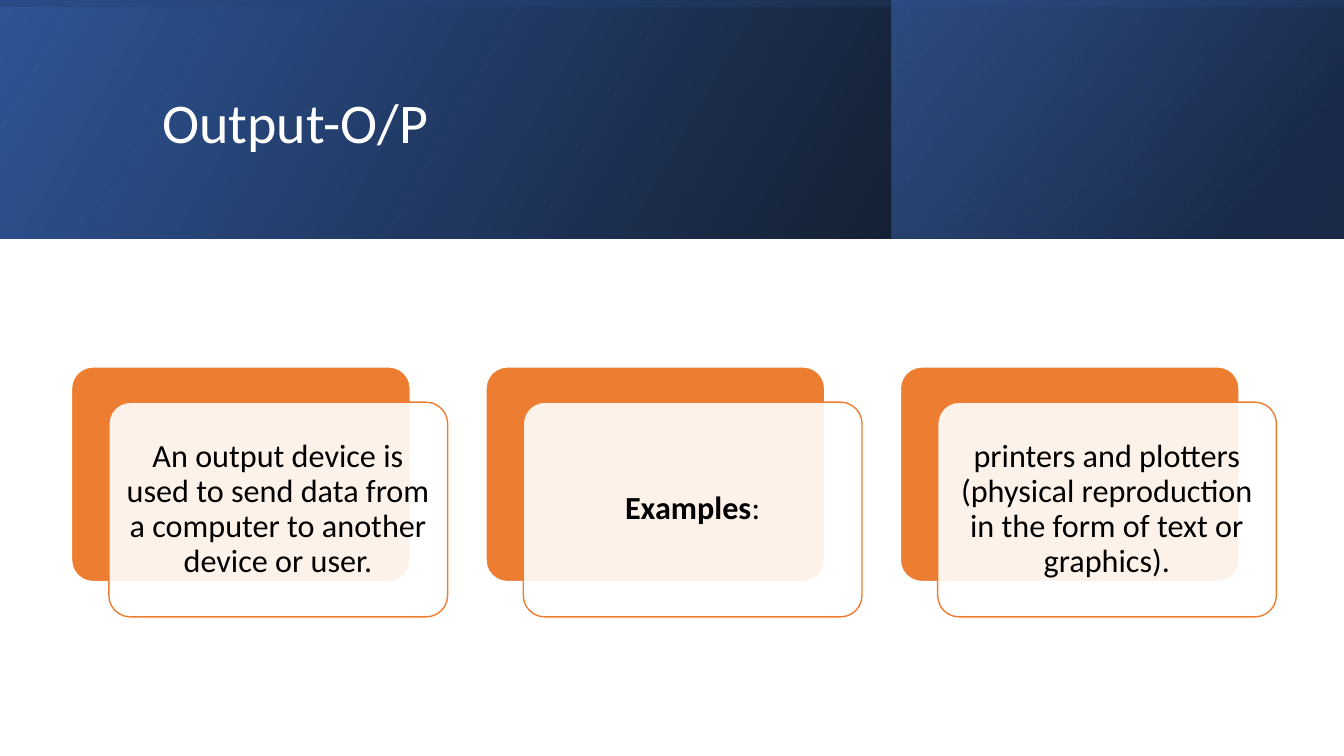
import pptx
import pptx.util
import pptx.dml.color
import pptx.enum.shapes
import pptx.enum.text
import pptx.oxml
import pptx.oxml.ns

Inches = pptx.util.Inches
Pt = pptx.util.Pt
SHAPES = pptx.enum.shapes.MSO_SHAPE
ALIGN = pptx.enum.text.PP_ALIGN

HEADING = "Output-O/P"
CARDS = [
    [("An output device is used to send data from a computer to another device or user.", False)],
    [("Examples", True), (":", False)],
    [("printers and plotters (physical reproduction in the form of text or graphics).", False)],
]
COLORS = {
    "white": "FFFFFF", "black": "000000", "orange": "ED7D31",
    "blue": "2F5597", "navy": "203864", "sky": "4472C4",
}
FONT = "Calibri"
WIDTH, HEIGHT = 13.33, 7.5
BANNER_HEIGHT = 2.37
PANEL_LEFT = 8.84
BANNER_LAYERS = [
    ((0, 0, WIDTH, BANNER_HEIGHT), 0, 330,
     [(0, "black", 96), (100, "blue", 100)]),
    ((PANEL_LEFT, 0, WIDTH - PANEL_LEFT, BANNER_HEIGHT), 0, 320,
     [(19, "navy", 68), (100, "sky", 48)]),
    (((WIDTH - BANNER_HEIGHT) / 2, (BANNER_HEIGHT - WIDTH) / 2, BANNER_HEIGHT, WIDTH), 270, 350,
     [(23, "blue", 16), (99, "black", 45)]),
]
CARD_SIZE = (3.36, 2.13)
CARD_LEFT, CARD_TOP, CARD_STEP = 0.71, 3.64, 4.11
FRONT_SHIFT = (0.37, 0.35)


def color(name):
    return pptx.dml.color.RGBColor.from_string(COLORS[name])


def add_box(kind, box):
    shape = slide.shapes.add_shape(kind, *map(Inches, box))
    shape.shadow.inherit = False
    return shape


def add_banner_layer(box, rotation, angle, stops):
    layer = add_box(SHAPES.RECTANGLE, box)
    layer.rotation = rotation
    layer.line.fill.background()
    properties = layer.element.spPr
    properties.find(pptx.oxml.ns.qn("a:xfrm")).set("flipH", "1")
    stop_xml = "".join(
        f'<a:gs pos="{position * 1000}"><a:srgbClr val="{COLORS[name]}">'
        f'<a:alpha val="{opacity * 1000}"/></a:srgbClr></a:gs>'
        for position, name, opacity in stops)
    gradient = pptx.oxml.parse_xml(
        f'<a:gradFill {pptx.oxml.ns.nsdecls("a")} rotWithShape="1"><a:gsLst>{stop_xml}</a:gsLst>'
        f'<a:lin ang="{angle * 60000}" scaled="0"/></a:gradFill>')
    properties.find(pptx.oxml.ns.qn("a:prstGeom")).addnext(gradient)


def add_card_layer(left, top, fill, outline):
    layer = add_box(SHAPES.ROUNDED_RECTANGLE, (left, top, *CARD_SIZE))
    layer.adjustments[0] = 0.1
    layer.fill.solid()
    layer.fill.fore_color.rgb = color(fill)
    layer.line.color.rgb = color(outline)
    layer.line.width = Pt(1)
    return layer


def write(frame, runs, size, ink, align):
    frame.word_wrap = True
    frame.vertical_anchor = pptx.enum.text.MSO_ANCHOR.MIDDLE
    paragraph = frame.paragraphs[0]
    paragraph.alignment = align
    paragraph.line_spacing = 0.9
    for text, bold in runs:
        run = paragraph.add_run()
        run.text = text
        run.font.name = FONT
        run.font.size = Pt(size)
        run.font.bold = bold
        run.font.color.rgb = color(ink)


deck = pptx.Presentation()
deck.slide_width, deck.slide_height = Inches(WIDTH), Inches(HEIGHT)
slide = deck.slides.add_slide(deck.slide_layouts[5])

for banner_layer in BANNER_LAYERS:
    add_banner_layer(*banner_layer)

heading = slide.shapes.title
heading.left, heading.top, heading.width, heading.height = map(Inches, (1.51, 0.38, 10.63, 1.72))
write(heading.text_frame, [(HEADING, False)], 40, "white", ALIGN.LEFT)
heading.element.getparent().append(heading.element)

for column, runs in enumerate(CARDS):
    left = CARD_LEFT + column * CARD_STEP
    add_card_layer(left, CARD_TOP, "orange", "white")
    front = add_card_layer(left + FRONT_SHIFT[0], CARD_TOP + FRONT_SHIFT[1], "white", "orange")
    tint = front.element.spPr.find(".//" + pptx.oxml.ns.qn("a:srgbClr"))
    tint.append(pptx.oxml.parse_xml(f'<a:alpha {pptx.oxml.ns.nsdecls("a")} val="90000"/>'))
    frame = front.text_frame
    frame.margin_left = frame.margin_right = frame.margin_top = frame.margin_bottom = Inches(0.1)
    write(frame, runs, 23, "black", ALIGN.CENTER)

deck.save("out.pptx")
